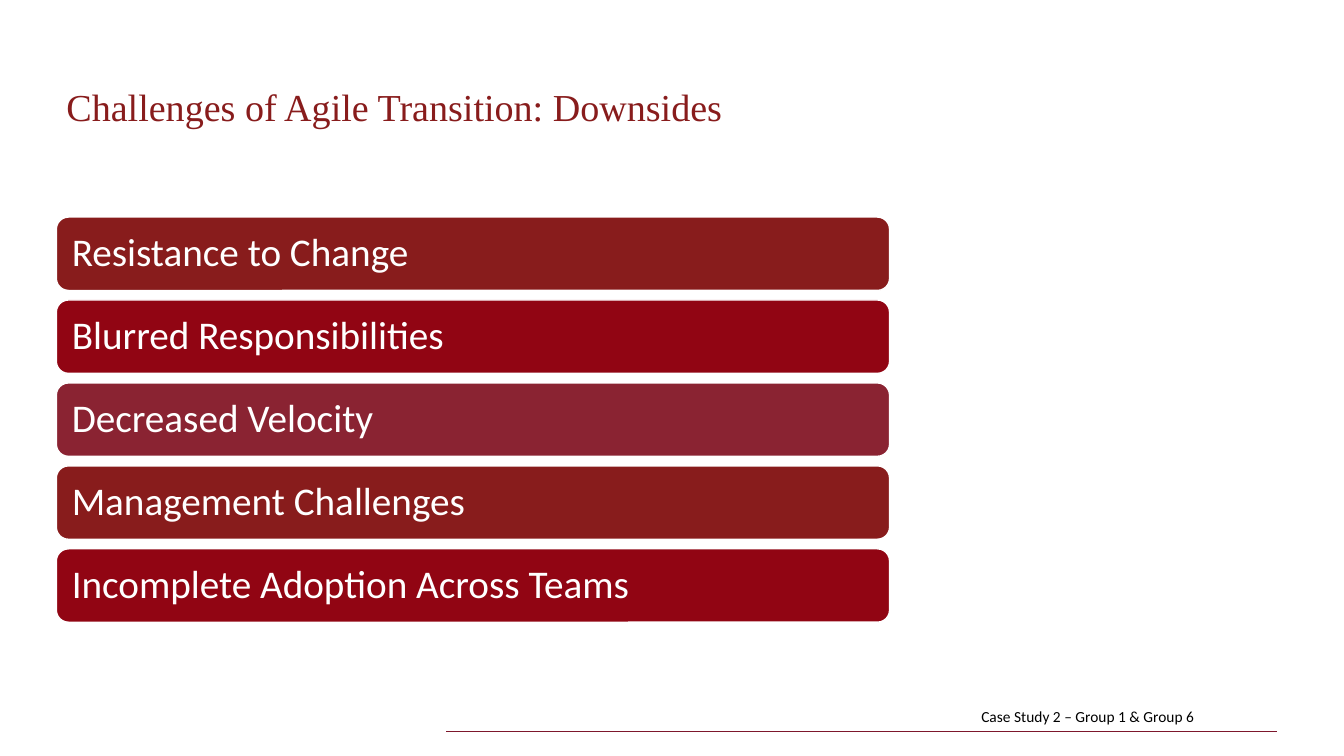
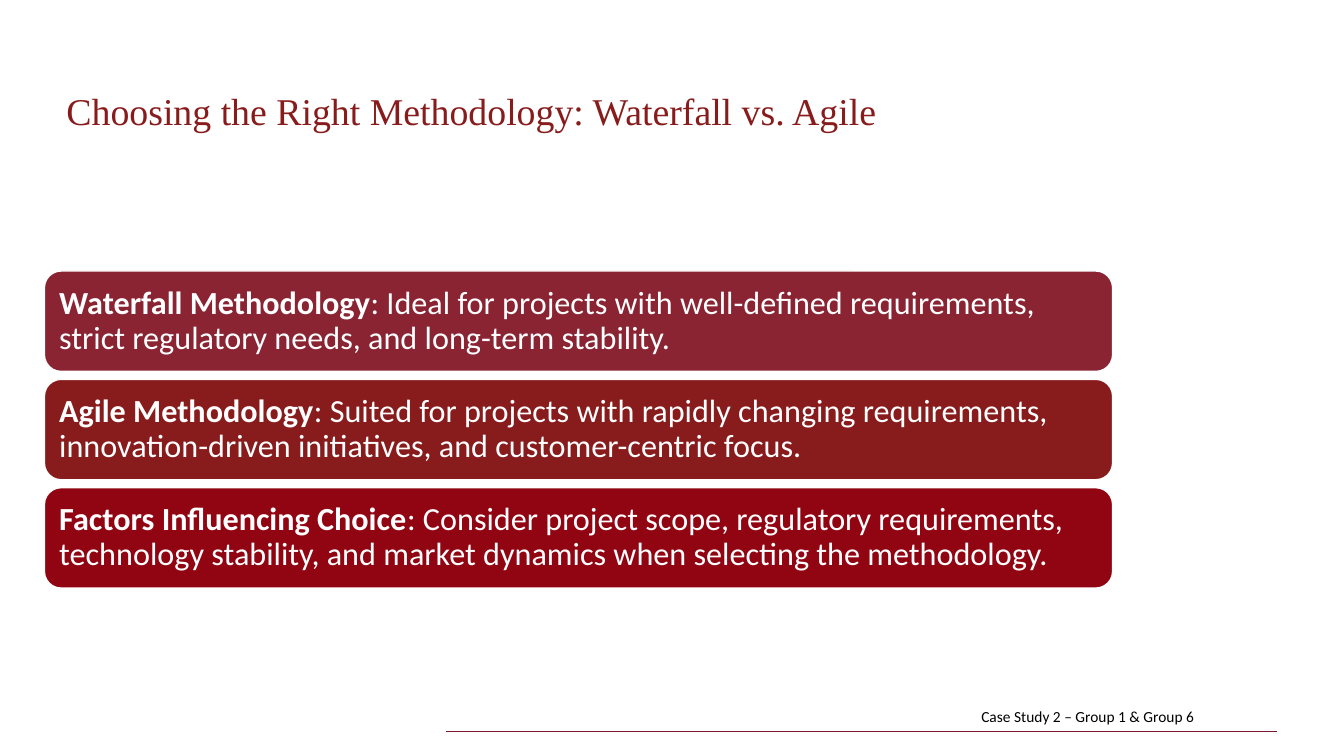
"""Build two slides of coloured bars on agile and waterfall methodology."""
import dataclasses

import lxml.etree
import pptx
import pptx.dml.color
import pptx.enum.shapes
import pptx.enum.text
import pptx.oxml.ns
import pptx.presentation
import pptx.shapes.autoshape
import pptx.slide
import pptx.text.text
import pptx.util

Cm = pptx.util.Cm
Pt = pptx.util.Pt
RGBColor = pptx.dml.color.RGBColor


@dataclasses.dataclass(frozen=True)
class Theme:
    title_font: str = "Times New Roman"
    body_font: str = "Calibri"
    title_color: RGBColor = RGBColor(0x88, 0x1C, 0x1C)
    rule_color: RGBColor = RGBColor(0x7D, 0x17, 0x2C)
    white: RGBColor = RGBColor(0xFF, 0xFF, 0xFF)
    black: RGBColor = RGBColor(0, 0, 0)
    bar_colors: tuple[RGBColor, ...] = (
        RGBColor(0x88, 0x1C, 0x1C),
        RGBColor(0x91, 0x05, 0x13),
        RGBColor(0x8A, 0x23, 0x32),
    )
    footer_size: float = 11
    bar_spacing: float = 0.9


@dataclasses.dataclass(frozen=True)
class Title:
    text: str
    width: float
    size: float
    line_spacing: float


@dataclasses.dataclass(frozen=True)
class Bar:
    text: str
    lead: str = ""


@dataclasses.dataclass(frozen=True)
class BarStack:
    left: float
    top: float
    width: float
    height: float
    pitch: float
    inset: float
    size: float
    first_color: int
    bars: tuple[Bar, ...]


THEME = Theme()
FOOTER = "Case Study 2 – Group 1 & Group 6"

SLIDES = (
    (
        Title("Challenges of Agile Transition: Downsides", 17.42, 27.2, 0.8),
        BarStack(1.42, 5.47, 21, 1.85, 2.09, 0.3, 28, 0, (
            Bar("Resistance to Change"),
            Bar("Blurred Responsibilities"),
            Bar("Decreased Velocity"),
            Bar("Management Challenges"),
            Bar("Incomplete Adoption Across Teams"),
        )),
    ),
    (
        Title("Choosing the Right Methodology: Waterfall vs. Agile", 21, 27, 0.9),
        BarStack(1.12, 6.83, 26.92, 2.53, 2.73, 0.25, 23, 2, (
            Bar(": Ideal for projects with well-defined requirements, strict "
                "regulatory needs, and long-term stability.",
                "Waterfall Methodology"),
            Bar(": Suited for projects with rapidly changing requirements, "
                "innovation-driven initiatives, and customer-centric focus.",
                "Agile Methodology"),
            Bar(": Consider project scope, regulatory requirements, technology "
                "stability, and market dynamics when selecting the methodology.",
                "Factors Influencing Choice"),
        )),
    ),
)


def format_runs(paragraph: pptx.text.text._Paragraph, font: str, size: float,
                color: RGBColor) -> None:
    for run in paragraph.runs:
        run.font.name = font
        run.font.size = Pt(size)
        run.font.color.rgb = color


def add_footer(slide: pptx.slide.Slide) -> None:
    rule = slide.shapes.add_connector(
        pptx.enum.shapes.MSO_CONNECTOR.STRAIGHT,
        Cm(32.18), Cm(18.42), Cm(11.23), Cm(18.42))
    rule.line.color.rgb = THEME.rule_color
    rule.line.width = Pt(0.5)
    lxml.etree.SubElement(rule.element.spPr, pptx.oxml.ns.qn("a:effectLst"))

    footer = slide.shapes.add_textbox(Cm(22.05), Cm(17.7), Cm(8.3), Cm(0.74))
    footer.text_frame.word_wrap = True
    footer.text_frame.text = FOOTER
    paragraph = footer.text_frame.paragraphs[0]
    paragraph.alignment = pptx.enum.text.PP_ALIGN.RIGHT
    format_runs(paragraph, THEME.body_font, THEME.footer_size, THEME.black)


def fill_title(slide: pptx.slide.Slide, title: Title) -> None:
    shape = slide.shapes.title
    shape.left, shape.top = Cm(1.42), Cm(2.21)
    shape.width, shape.height = Cm(title.width), Cm(1.52)
    text_frame = shape.text_frame
    text_frame.text = title.text
    text_frame.word_wrap = True
    text_frame.auto_size = pptx.enum.text.MSO_AUTO_SIZE.NONE
    text_frame.vertical_anchor = pptx.enum.text.MSO_ANCHOR.TOP
    paragraph = text_frame.paragraphs[0]
    paragraph.alignment = pptx.enum.text.PP_ALIGN.LEFT
    paragraph.line_spacing = title.line_spacing
    format_runs(paragraph, THEME.title_font, title.size, THEME.title_color)


def fill_bar(shape: pptx.shapes.autoshape.Shape, bar: Bar, inset: float,
             size: float) -> None:
    text_frame = shape.text_frame
    text_frame.word_wrap = True
    text_frame.vertical_anchor = pptx.enum.text.MSO_ANCHOR.MIDDLE
    text_frame.margin_left = text_frame.margin_right = Cm(inset)
    text_frame.margin_top = text_frame.margin_bottom = Cm(inset)
    text_frame.text = bar.lead or bar.text
    paragraph = text_frame.paragraphs[0]
    if bar.lead:
        paragraph.runs[0].font.bold = True
        paragraph.add_run().text = bar.text
    paragraph.alignment = pptx.enum.text.PP_ALIGN.LEFT
    paragraph.line_spacing = THEME.bar_spacing
    format_runs(paragraph, THEME.body_font, size, THEME.white)


def add_bars(slide: pptx.slide.Slide, stack: BarStack) -> None:
    for index, bar in enumerate(stack.bars):
        shape = slide.shapes.add_shape(
            pptx.enum.shapes.MSO_SHAPE.ROUNDED_RECTANGLE,
            Cm(stack.left), Cm(stack.top + index * stack.pitch),
            Cm(stack.width), Cm(stack.height))
        color_index = (stack.first_color + index) % len(THEME.bar_colors)
        shape.shadow.inherit = False
        shape.fill.solid()
        shape.fill.fore_color.rgb = THEME.bar_colors[color_index]
        shape.line.color.rgb = THEME.white
        shape.line.width = Pt(1)
        fill_bar(shape, bar, stack.inset, stack.size)


def add_bar_slide(presentation: pptx.presentation.Presentation, title: Title,
                  stack: BarStack) -> None:
    layout = presentation.slide_layouts.get_by_name("Title Only")
    slide = presentation.slides.add_slide(layout)
    add_footer(slide)
    fill_title(slide, title)
    add_bars(slide, stack)


def main() -> None:
    presentation = pptx.Presentation()
    presentation.slide_width = Cm(33.87)
    presentation.slide_height = Cm(19.05)
    for title, stack in SLIDES:
        add_bar_slide(presentation, title, stack)
    presentation.save("out.pptx")


if __name__ == "__main__":
    main()
